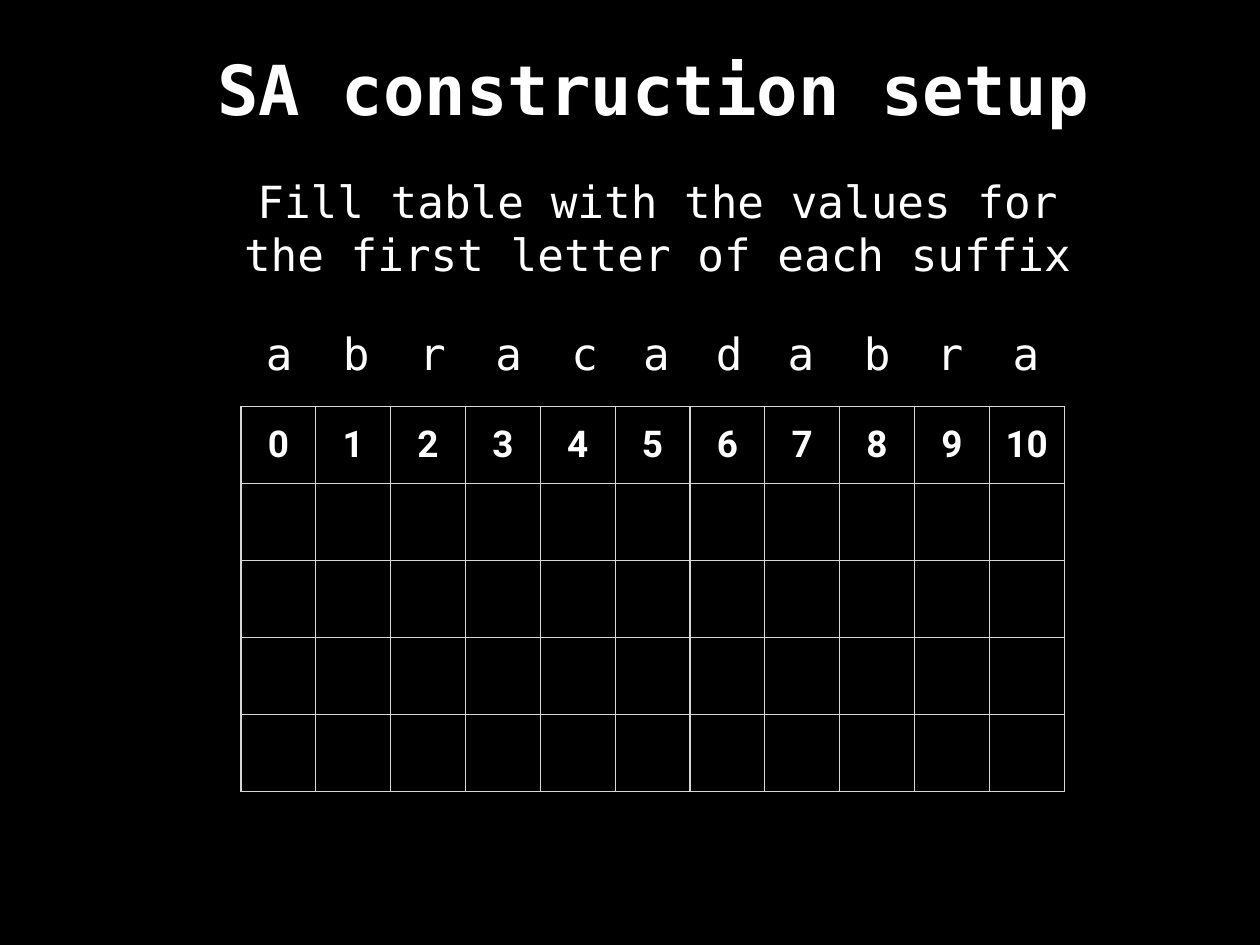
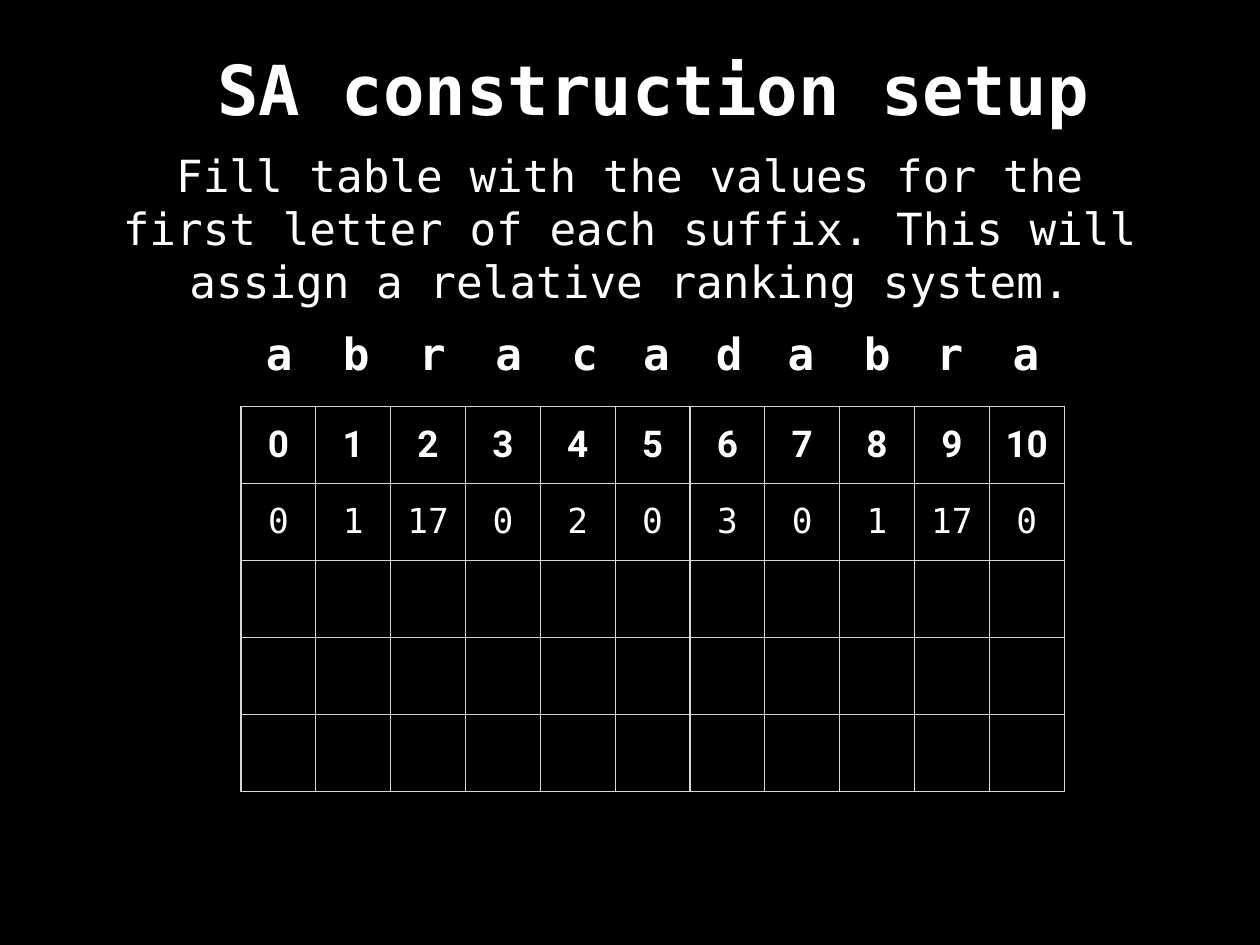
"""Build two slides on setting up suffix array construction."""
from dataclasses import dataclass

from lxml import etree
from pptx import Presentation
from pptx import util as u
from pptx.dml.color import RGBColor
from pptx.enum import text
from pptx.oxml import ns


@dataclass(frozen=True)
class Theme:
    background: str = "000000"
    ink: str = "FFFFFF"
    grid: str = "D6D7D6"
    mono: str = "DejaVu Sans Mono"
    sans: str = "Roboto"
    title_size: int = 56
    body_size: int = 36
    index_size: int = 30
    rank_size: int = 28
    inset: float = 0.06
    grid_width: float = 1


WORD = "abracadabra"
LETTER_LEFTS = (2.94, 3.81, 4.67, 5.53, 6.39, 7.2, 8.02, 8.83, 9.69, 10.51, 11.37)
RANKS = (0, 1, 17, 0, 2, 0, 3, 0, 1, 17, 0)
TABLE_LEFT, TABLE_TOP, TABLE_WIDTH = 2.72, 4.59, 9.29
ROW_COUNT, ROW_HEIGHT = 5, 0.87


class Deck:
    def __init__(self, theme):
        self.theme = theme
        self.prs = Presentation()
        self.prs.slide_width = u.Inches(14.22)
        self.prs.slide_height = u.Inches(10.67)
        fill = self.prs.slide_master.background.fill
        fill.solid()
        fill.fore_color.rgb = RGBColor.from_string(theme.background)
        self.slide = None

    def add_slide(self):
        self.slide = self.prs.slides.add_slide(self.prs.slide_layouts[6])

    def style(self, paragraph, size, font, bold, align):
        paragraph.alignment = align
        for run in paragraph.runs:
            run.font.size = u.Pt(size)
            run.font.name = font
            run.font.bold = bold
            run.font.color.rgb = RGBColor.from_string(self.theme.ink)

    def inset(self, holder):
        holder.margin_left = holder.margin_right = u.Inches(self.theme.inset)
        holder.margin_top = holder.margin_bottom = u.Inches(self.theme.inset)
        holder.vertical_anchor = text.MSO_ANCHOR.MIDDLE

    def label(self, words, box, size, bold=False, align=text.PP_ALIGN.CENTER, wrap=True):
        frame = self.slide.shapes.add_textbox(*map(u.Inches, box)).text_frame
        frame.word_wrap = wrap
        frame.auto_size = text.MSO_AUTO_SIZE.SHAPE_TO_FIT_TEXT
        self.inset(frame)
        frame.text = words
        self.style(frame.paragraphs[0], size, self.theme.mono, bold, align)

    def title(self, words):
        self.label(words, (2.36, 0.49, 10.02, 1.01), self.theme.title_size, bold=True)

    def explanation(self, words, box):
        self.label(words, box, self.theme.body_size)

    def letters(self, bold):
        for letter, left in zip(WORD, LETTER_LEFTS):
            self.label(letter, (left, 3.64, 0.43, 0.68), self.theme.body_size,
                       bold, text.PP_ALIGN.LEFT, wrap=False)

    def border(self, cell):
        properties = cell._tc.get_or_add_tcPr()
        for side in ("a:lnL", "a:lnR", "a:lnT", "a:lnB"):
            line = etree.SubElement(properties, ns.qn(side),
                                    w=str(u.Pt(self.theme.grid_width)))
            fill = etree.SubElement(line, ns.qn("a:solidFill"))
            etree.SubElement(fill, ns.qn("a:srgbClr"), val=self.theme.grid)

    def fill_row(self, table, row, values, size, font, bold):
        for column, value in enumerate(values):
            cell = table.cell(row, column)
            cell.text = str(value)
            self.style(cell.text_frame.paragraphs[0], size, font, bold,
                       text.PP_ALIGN.CENTER)

    def rank_table(self, ranks):
        theme = self.theme
        table = self.slide.shapes.add_table(
            ROW_COUNT, len(WORD), u.Inches(TABLE_LEFT), u.Inches(TABLE_TOP),
            u.Inches(TABLE_WIDTH), u.Inches(ROW_COUNT * ROW_HEIGHT)).table
        table.first_row = table.horz_banding = False
        for cell in table.iter_cells():
            self.inset(cell)
            self.border(cell)
            cell.fill.background()
        self.fill_row(table, 0, range(len(WORD)), theme.index_size, theme.sans, True)
        self.fill_row(table, 1, ranks, theme.rank_size, theme.mono, False)

    def setup_slide(self, explanation, box, ranks=(), bold_letters=False):
        self.add_slide()
        self.rank_table(ranks)
        self.letters(bold_letters)
        self.title("SA construction setup")
        self.explanation(explanation, box)


def main():
    deck = Deck(Theme())
    task = "Fill table with the values for the first letter of each suffix"
    deck.setup_slide(task, (2.41, 1.94, 10.02, 1.25))
    deck.setup_slide(task + ". This will assign a relative ranking system.",
                     (1.1, 1.66, 12.01, 1.82), RANKS, bold_letters=True)
    deck.prs.save("out.pptx")


if __name__ == "__main__":
    main()
